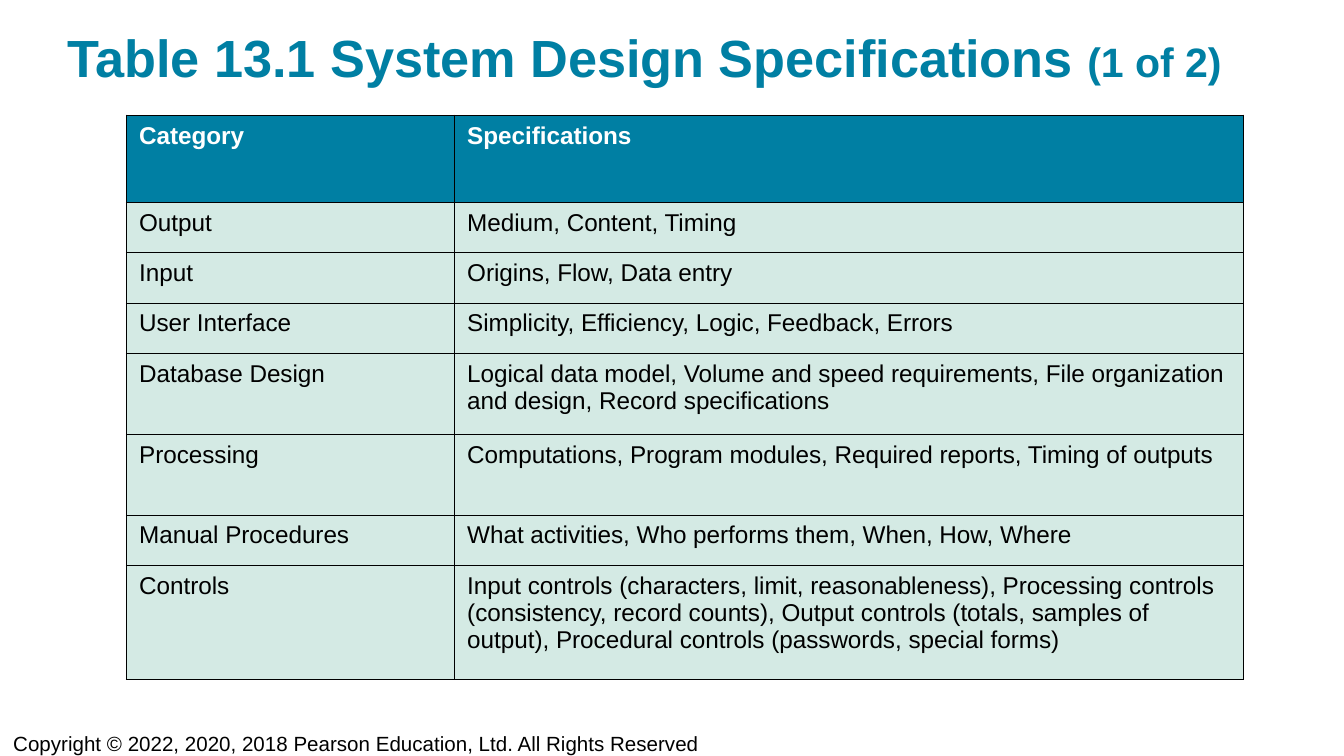
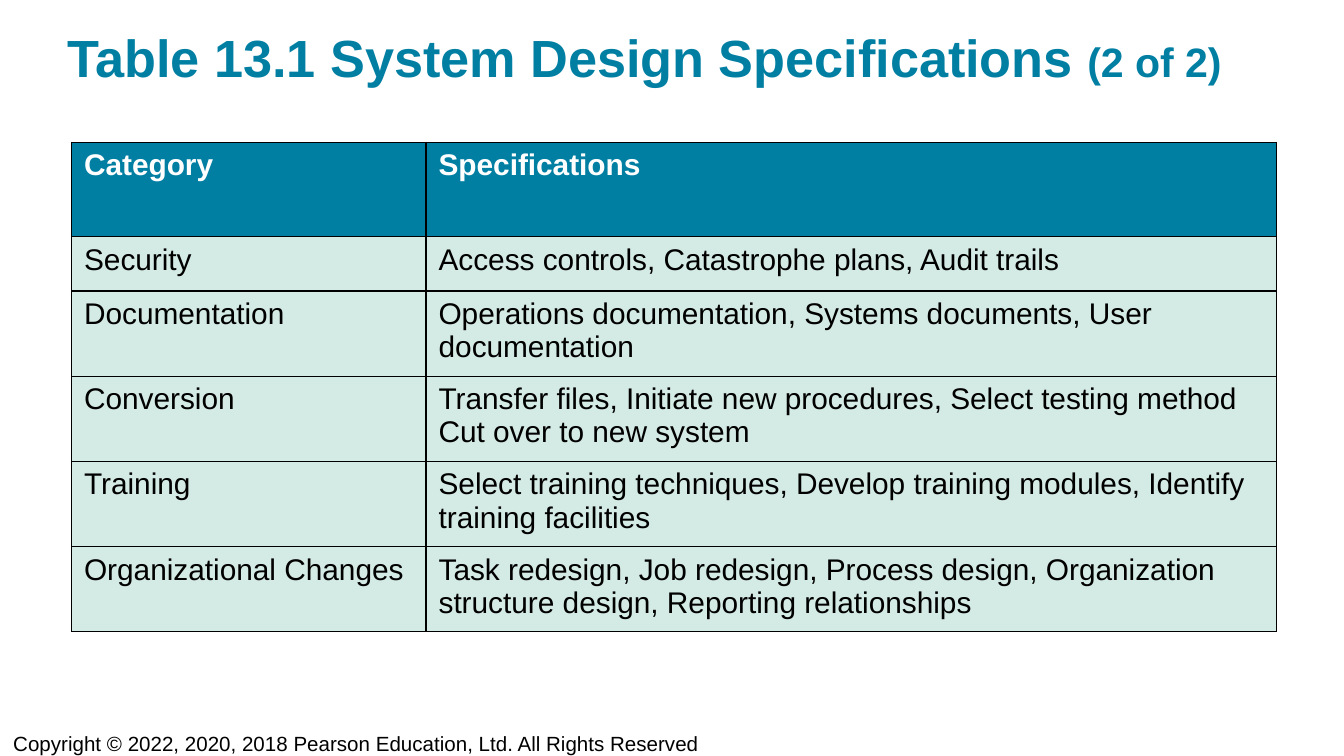
"""Build two slides that tabulate the system design specifications."""
from dataclasses import dataclass

from lxml.etree import SubElement
from pptx import Presentation
from pptx.dml.color import RGBColor as RGB
from pptx.enum.text import MSO_ANCHOR as Anchor, MSO_AUTO_SIZE as AutoSize, PP_ALIGN as Align
from pptx.oxml.ns import qn
from pptx.util import Cm, Pt


@dataclass(frozen=True)
class Theme:
    font: str = "Arial"
    teal: RGB = RGB(0x00, 0x7F, 0xA3)
    mint: RGB = RGB(0xD4, 0xEA, 0xE4)
    white: RGB = RGB(0xFF, 0xFF, 0xFF)
    black: RGB = RGB(0x00, 0x00, 0x00)
    title_size: int = 28
    counter_size: int = 22
    copyright_size: int = 11
    border: float = 0.75


theme = Theme()
FLUSH = dict.fromkeys(("margin_left", "margin_top", "margin_right", "margin_bottom"), 0)
TITLE_FRAME = {**FLUSH, "word_wrap": True, "vertical_anchor": Anchor.BOTTOM,
               "auto_size": AutoSize.SHAPE_TO_FIT_TEXT}
COPYRIGHT_FRAME = {**FLUSH, "word_wrap": True, "vertical_anchor": Anchor.BOTTOM}
CELL_FORMAT = {"margin_left": Cm(0.24), "margin_right": Cm(0.24), "vertical_anchor": Anchor.TOP}
TITLE_PLACE = {"left": Cm(1.27), "top": Cm(0.47), "width": Cm(22.86), "height": Cm(1.19)}
HEADINGS = ("Category", "Specifications")

pages = [
    {
        "left": 2.39, "top": 2.18, "size": 13,
        "columns": (6.2, 14.91),
        "heights": (1.65, 0.95, 0.95, 0.95, 1.53, 1.53, 0.95, 2.16),
        "rows": [
            ("Output", "Medium, Content, Timing"),
            ("Input", "Origins, Flow, Data entry"),
            ("User Interface", "Simplicity, Efficiency, Logic, Feedback, Errors"),
            ("Database Design", "Logical data model, Volume and speed requirements, "
             "File organization and design, Record specifications"),
            ("Processing", "Computations, Program modules, Required reports, Timing of outputs"),
            ("Manual Procedures", "What activities, Who performs them, When, How, Where"),
            ("Controls", "Input controls (characters, limit, reasonableness), "
             "Processing controls (consistency, record counts), "
             "Output controls (totals, samples of output), "
             "Procedural controls (passwords, special forms)"),
        ],
    },
    {
        "left": 1.35, "top": 2.69, "size": 16,
        "columns": (6.7, 16.08),
        "heights": (1.78, 1.03, 1.61, 1.61, 1.61, 1.61),
        "rows": [
            ("Security", "Access controls, Catastrophe plans, Audit trails"),
            ("Documentation", "Operations documentation, Systems documents, User documentation"),
            ("Conversion", "Transfer files, Initiate new procedures, Select testing method\n"
             "Cut over to new system"),
            ("Training", "Select training techniques, Develop training modules, "
             "Identify training facilities"),
            ("Organizational Changes", "Task redesign, Job redesign, Process design, "
             "Organization structure design, Reporting relationships"),
        ],
    },
]


def apply(target, values):
    for name, value in values.items():
        setattr(target, name, value)


def style(font, size, color, bold=False):
    apply(font, {"name": theme.font, "size": Pt(size), "bold": bold})
    font.color.rgb = color


deck = Presentation()
apply(deck, {"slide_width": Cm(25.4), "slide_height": Cm(14.29)})

for number, page in enumerate(pages, 1):
    slide = deck.slides.add_slide(deck.slide_layouts[5])

    title = slide.shapes.title
    apply(title, TITLE_PLACE)
    apply(title.text_frame, TITLE_FRAME)
    heading = title.text_frame.paragraphs[0]
    heading.alignment = Align.LEFT
    for words, size in (("Table 13.1 System Design Specifications ", theme.title_size),
                        (f"({number} of {len(pages)})", theme.counter_size)):
        run = heading.add_run()
        run.text = words
        style(run.font, size, theme.teal, bold=True)

    rows = [HEADINGS, *page["rows"]]
    specifications = slide.shapes.add_table(
        len(rows), len(HEADINGS), Cm(page["left"]), Cm(page["top"]),
        Cm(sum(page["columns"])), Cm(sum(page["heights"]))).table
    for column, width in zip(specifications.columns, page["columns"]):
        column.width = Cm(width)
    for row, height, entries in zip(specifications.rows, page["heights"], rows):
        row.height = Cm(height)
        is_header = entries is HEADINGS
        for cell, entry in zip(row.cells, entries):
            apply(cell, {**CELL_FORMAT, "text": entry})
            for paragraph in cell.text_frame.paragraphs:
                for run in paragraph.runs:
                    style(run.font, page["size"], theme.white if is_header else theme.black, is_header)
            properties = cell._tc.get_or_add_tcPr()
            for side in ("a:lnL", "a:lnR", "a:lnT", "a:lnB"):
                edge = SubElement(properties, qn(side), w=str(Pt(theme.border)))
                ink = SubElement(edge, qn("a:solidFill"))
                SubElement(ink, qn("a:srgbClr"), val=str(theme.black))
            cell.fill.solid()
            cell.fill.fore_color.rgb = theme.teal if is_header else theme.mint

    notice = slide.shapes.add_textbox(Cm(0.25), Cm(13.36), Cm(23.88), Cm(0.92)).text_frame
    apply(notice, COPYRIGHT_FRAME)
    notice.text = "Copyright © 2022, 2020, 2018 Pearson Education, Ltd. All Rights Reserved"
    style(notice.paragraphs[0].runs[0].font, theme.copyright_size, theme.black)

deck.save("out.pptx")
